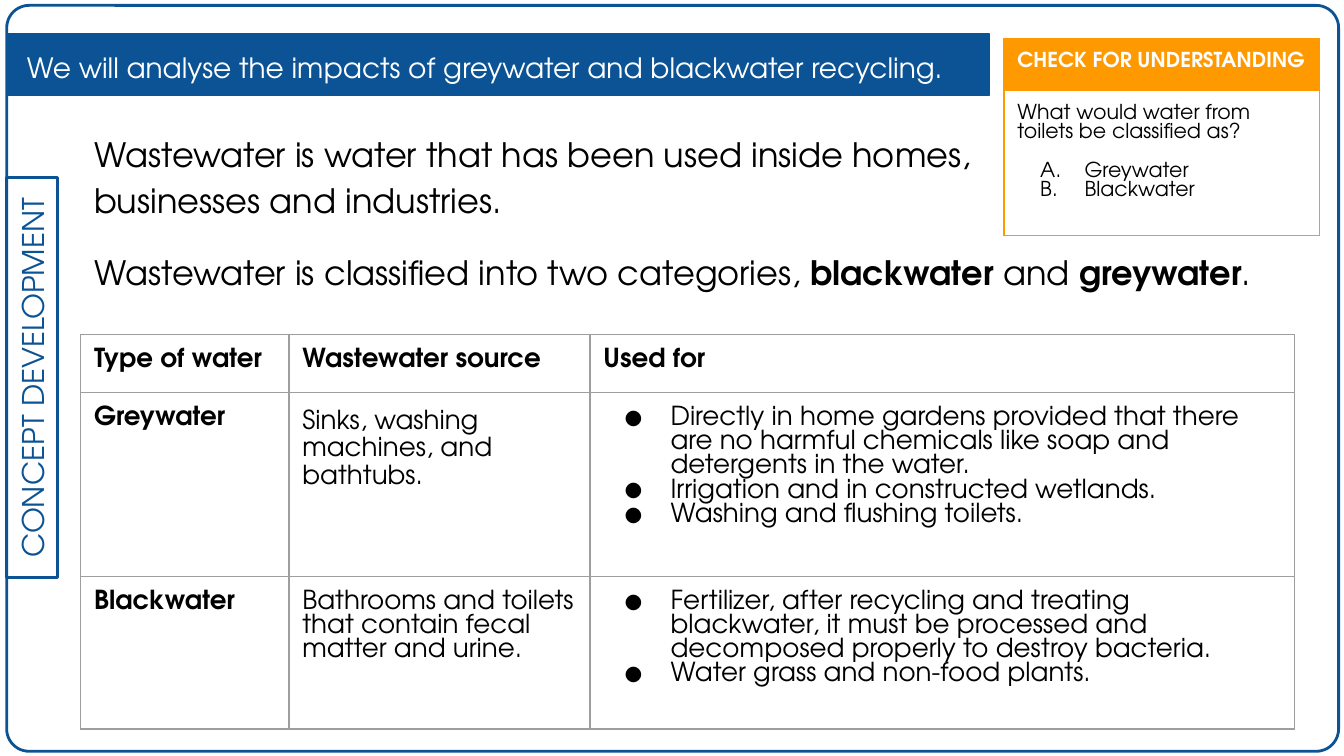
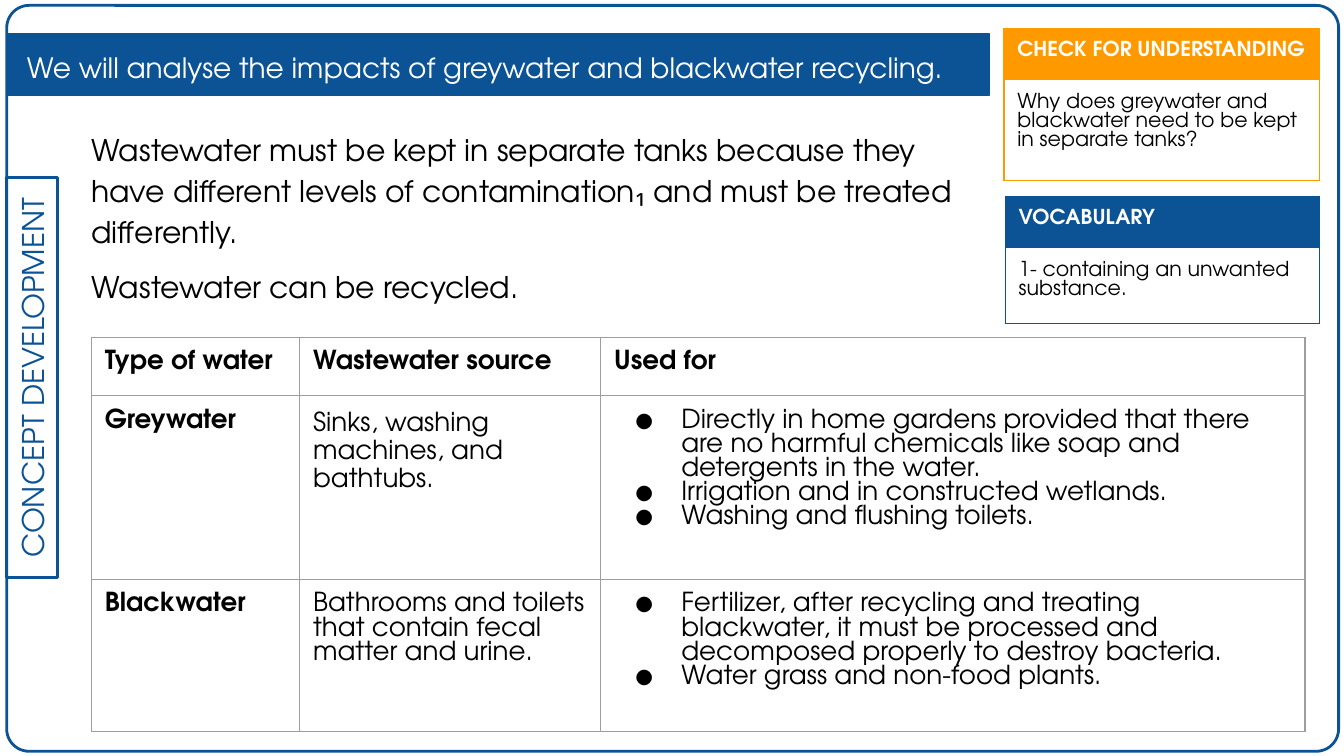
from lxml import etree
from pptx import Presentation
from pptx import util as u
from pptx.dml.color import RGBColor
from pptx.enum import shapes, text
from pptx.oxml.ns import qn

Inches, Pt = u.Inches, u.Pt
FONT = "TeX Gyre Adventor"
MARGIN = u.Emu(91425)
COLORS = {"blue": "0B5394", "orange": "FF9900", "grid": "9E9E9E",
          "black": "000000", "white": "FFFFFF"}

# Content: text between *stars* is bold
GOAL = "We will analyse the impacts of greywater and blackwater recycling."
STAGE = "CONCEPT DEVELOPMENT"
WATER_ROWS = [
    ("Type of water", "Wastewater source", "Used for"),
    ("Greywater", "Sinks, washing machines, and bathtubs.",
     ["Directly in home gardens provided that there are no harmful chemicals "
      "like soap and detergents in the water.",
      "Irrigation and in constructed wetlands.",
      "Washing and flushing toilets."]),
    ("Blackwater", "Bathrooms and toilets that contain fecal matter and urine.",
     ["Fertilizer, after recycling and treating blackwater, it must be processed "
      "and decomposed properly to destroy bacteria.",
      "Water grass and non-food plants."]),
]
WATER_COLS, WATER_HEIGHTS = (1.55, 2.24, 5.24), (0.13, 0.42, 0.42)
CHECK = {"heading": "CHECK FOR UNDERSTANDING", "color": "orange",
         "left": 7.47, "width": 2.35, "heights": (0.13, 0.43)}
VOCABULARY = {"heading": "VOCABULARY", "color": "blue",
              "left": 7.48, "width": 2.34, "heights": (0.31, 0.11)}
SLIDES = [
    {"texts": [
        ((0.6, 0.85, 7.48, 0.89), 18,
         ["Wastewater is water that has been used inside homes, businesses "
          "and industries."]),
        ((0.6, 1.73, 9.09, 0.57), 18,
         ["Wastewater is classified into two categories, *blackwater *and "
          "*greywater*."])],
     "table": (0.6, 2.49),
     "cards": [(CHECK, 0.29, "What would water from toilets be classified as?",
                ["Greywater", "Blackwater"])]},
    {"texts": [
        ((0.58, 0.84, 6.73, 1.55), 16,
         ["Wastewater must be kept in separate tanks because they have different "
          "levels of contamination₁ and must be treated differently.",
          "Wastewater can be recycled."])],
     "table": (0.68, 2.51),
     "cards": [(CHECK, 0.21, "Why does greywater and blackwater need to be kept "
                "in separate tanks?", []),
               (VOCABULARY, 1.46, "1- containing an unwanted substance.", [])]},
]


def rgb(name):
    return RGBColor.from_string(COLORS[name])


def box(at):
    return [Inches(v) for v in at]


def set_margins(obj):
    obj.margin_left = obj.margin_right = MARGIN
    obj.margin_top = obj.margin_bottom = MARGIN


def write(p, content, size, color="black", bold=False, spacing=1.0):
    """Fill a paragraph, switching bold at each star."""
    p.line_spacing = spacing
    for i, part in enumerate(content.split("*")):
        if part:
            r = p.add_run()
            r.text = part
            r.font.name, r.font.size = FONT, Pt(size)
            r.font.bold = bold or i % 2 == 1
            r.font.color.rgb = rgb(color)
    end = etree.SubElement(p._p, qn("a:endParaRPr"), sz=str(size * 100))
    etree.SubElement(end, qn("a:latin"), typeface=FONT)


def add_bullet(p, size, indent, tag, **attrs):
    pPr = p._p.get_or_add_pPr()
    pPr.set("marL", str(Inches(0.5)))
    pPr.set("indent", str(-Inches(indent)))
    clr = etree.SubElement(pPr, qn("a:buClr"))
    etree.SubElement(clr, qn("a:srgbClr"), val=COLORS["black"])
    etree.SubElement(pPr, qn("a:buSzPts"), val=str(size * 100))
    etree.SubElement(pPr, qn("a:buFont"), typeface=FONT)
    etree.SubElement(pPr, qn(tag), **attrs)


def paragraphs(tf, count):
    return [tf.paragraphs[0]] + [tf.add_paragraph() for _ in range(count - 1)]


def add_box(s, kind, at, fill=None, width=1.5):
    sp = s.shapes.add_shape(kind, *box(at))
    sp.shadow.inherit = False
    if fill:
        sp.fill.solid()
        sp.fill.fore_color.rgb = rgb(fill)
    else:
        sp.fill.background()
    sp.line.color.rgb, sp.line.width = rgb("blue"), Pt(width)
    return sp


def set_borders(cell, color):
    tcPr = cell._tc.get_or_add_tcPr()
    for i, side in enumerate(("lnL", "lnR", "lnT", "lnB")):
        ln = etree.Element(qn("a:" + side), w=str(Pt(0.75)))
        fill = etree.SubElement(ln, qn("a:solidFill"))
        etree.SubElement(fill, qn("a:srgbClr"), val=COLORS[color])
        tcPr.insert(i, ln)


def add_grid(s, left, top, cols, heights, border):
    """Add a plain bordered table whose rows grow with their text."""
    frame = s.shapes.add_table(len(heights), len(cols),
                               *box((left, top, sum(cols), sum(heights))))
    table = frame.table
    table.first_row = table.horz_banding = False
    for col, w in zip(table.columns, cols):
        col.width = Inches(w)
    for row, h in zip(table.rows, heights):
        row.height = Inches(h)
    for cell in table.iter_cells():
        set_margins(cell)
        cell.text_frame.auto_size = text.MSO_AUTO_SIZE.NONE
        cell.fill.background()
        set_borders(cell, border)
    return table


def add_frame(s):
    """Page outline, side label, goal band and title."""
    kinds = shapes.MSO_SHAPE
    outline = add_box(s, kinds.ROUNDED_RECTANGLE, (0.05, 0.04, 9.91, 5.55))
    outline.adjustments[0] = 0.03
    label = add_box(s, kinds.RECTANGLE, (-1.25, 2.62, 2.98, 0.38))
    label.rotation = 270
    set_margins(label.text_frame)
    label.text_frame.vertical_anchor = text.MSO_ANCHOR.MIDDLE
    p = label.text_frame.paragraphs[0]
    p.alignment = text.PP_ALIGN.CENTER
    write(p, STAGE, 16, "blue")
    add_box(s, kinds.RECTANGLE, (0.05, 0.25, 7.31, 0.46), "blue", 0.75)

    title = s.shapes.title
    title.left, title.top, title.width, title.height = box((0.1, 0.29, 7.21, 0.38))
    tf = title.text_frame
    tf.word_wrap, tf.auto_size = True, text.MSO_AUTO_SIZE.NONE
    tf.vertical_anchor = text.MSO_ANCHOR.MIDDLE
    set_margins(tf)
    p = tf.paragraphs[0]
    p.alignment = text.PP_ALIGN.LEFT
    write(p, GOAL, 15, "white", spacing=1.15)
    s.shapes._spTree.append(title._element)  # title sits above the band


def add_text(s, at, size, lines):
    tf = s.shapes.add_textbox(*box(at)).text_frame
    tf.word_wrap = True
    set_margins(tf)
    for i, (p, line) in enumerate(zip(paragraphs(tf, len(lines)), lines)):
        if i:
            p.space_before = Pt(7)
        write(p, line, size, spacing=1.15)


def add_water_table(s, left, top):
    table = add_grid(s, left, top, WATER_COLS, WATER_HEIGHTS, "grid")
    for i, row in enumerate(WATER_ROWS):
        for j, content in enumerate(row):
            tf = table.cell(i, j).text_frame
            if isinstance(content, list):
                for p, item in zip(paragraphs(tf, len(content)), content):
                    add_bullet(p, 14, 0.35, "a:buChar", char="●")
                    write(p, item, 14)
            else:
                write(tf.paragraphs[0], content, 14, bold=i == 0 or j == 0,
                      spacing=1.15 if (i, j) == (1, 1) else 1.0)


def add_card(s, card, top, question, options):
    color = card["color"]
    table = add_grid(s, card["left"], top, (card["width"],), card["heights"], color)
    head, body = table.cell(0, 0), table.cell(1, 0)
    head.fill.solid()
    head.fill.fore_color.rgb = rgb(color)
    write(head.text_frame.paragraphs[0], card["heading"], 11, "white", bold=True)
    first, *rest = paragraphs(body.text_frame, 1 + len(options))
    write(first, question, 11)
    for i, (p, option) in enumerate(zip(rest, options)):
        if i == 0:
            p.space_before = Pt(10.5)
        add_bullet(p, 11, 0.33, "a:buAutoNum", type="alphaUcPeriod")
        write(p, option, 11)


def main():
    prs = Presentation()
    prs.slide_width = Inches(10)
    prs.slide_height = prs.slide_width * 9 // 16
    for page in SLIDES:
        s = prs.slides.add_slide(prs.slide_layouts[5])
        add_frame(s)
        for at, size, lines in page["texts"]:
            add_text(s, at, size, lines)
        add_water_table(s, *page["table"])
        for card in page["cards"]:
            add_card(s, *card)
    prs.save("out.pptx")


if __name__ == "__main__":
    main()
